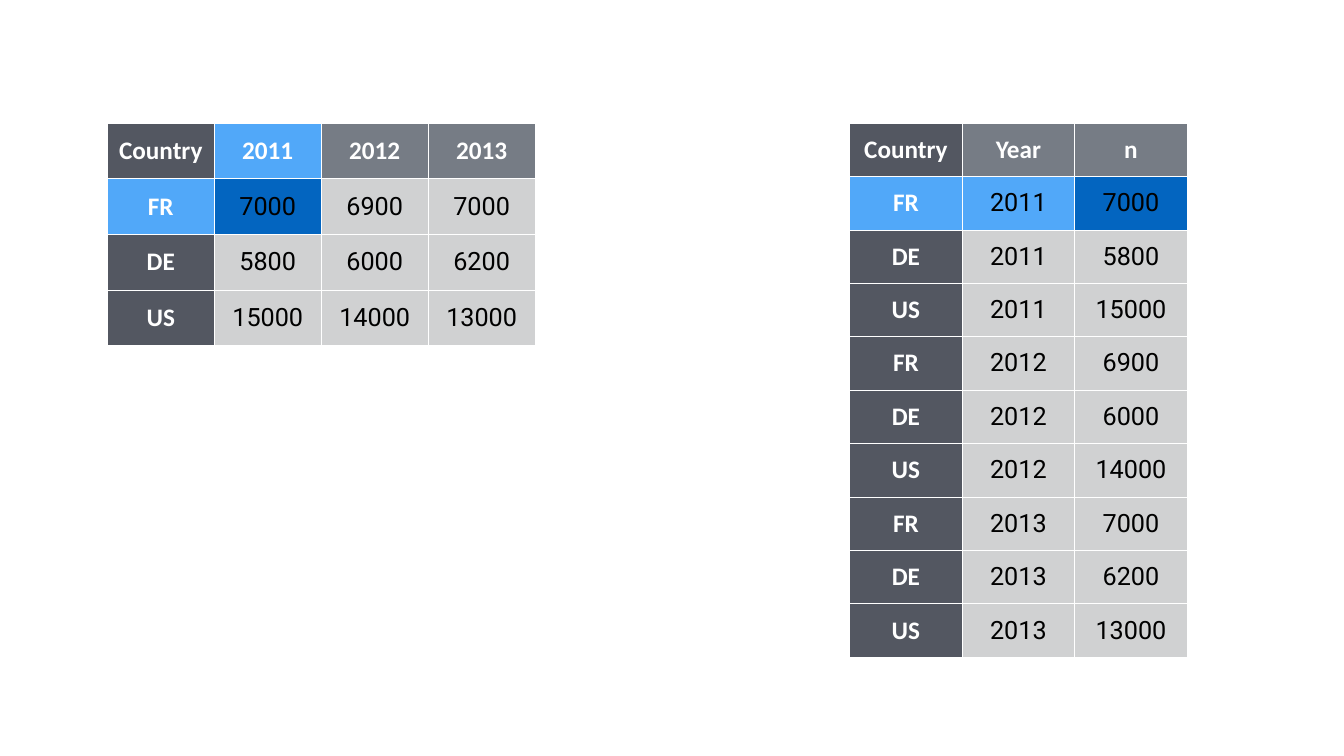
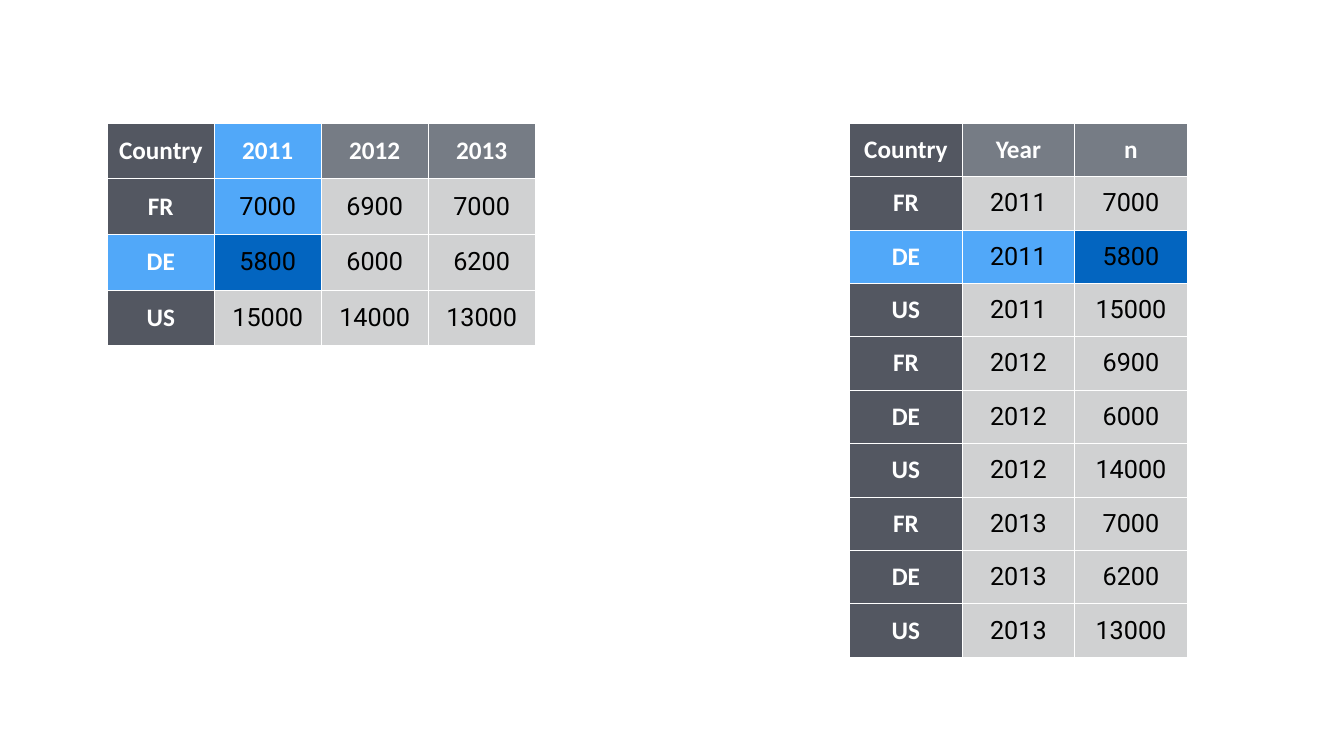
"""Build two slides that trace a cell from a wide table to its row in a tidy table."""
import pptx
import pptx.dml.color
import pptx.enum.text
import pptx.oxml
import pptx.oxml.ns
import pptx.util

Inches = pptx.util.Inches

WHITE, BLACK = "FFFFFF", "000000"
LABEL, HEADER, BODY = "535761", "767C85", "D0D1D2"
TRACE, TARGET = "51A8F9", "0365C0"

wide = [
    ["Country", "2011", "2012", "2013"],
    ["FR", "7000", "6900", "7000"],
    ["DE", "5800", "6000", "6200"],
    ["US", "15000", "14000", "13000"],
]
tidy = [["Country", "Year", "n"]]
for c, year in enumerate(wide[0][1:], 1):
    for row in wide[1:]:
        tidy.append([row[0], year, row[c]])


def rgb(color):
    return pptx.dml.color.RGBColor.from_string(color)


def add_grid(s, rows, left, width, height, target, trace_column):
    shape = s.shapes.add_table(len(rows), len(rows[0]), Inches(left), Inches(2.44),
                               Inches(width), Inches(height))
    table = shape.table
    table.horz_banding = False
    target_r, target_c = target
    for row in table.rows:
        row.height = Inches(height / len(rows))
    for r, values in enumerate(rows):
        for c, value in enumerate(values):
            cell = table.cell(r, c)
            is_label = r == 0 or c == 0
            left_of_target = r == target_r and c < target_c
            above_target = trace_column and c == target_c and r < target_r
            if (r, c) == target:
                fill = TARGET
            elif left_of_target or above_target:
                fill = TRACE
            elif c == 0:
                fill = LABEL
            else:
                fill = HEADER if r == 0 else BODY

            tcPr = cell._tc.get_or_add_tcPr()
            for side in "LRTB":
                tcPr.append(pptx.oxml.parse_xml(
                    f'<a:ln{side} {pptx.oxml.ns.nsdecls("a")} w="12700"><a:solidFill>'
                    f'<a:srgbClr val="{WHITE}"/></a:solidFill></a:ln{side}>'))
            cell.fill.solid()
            cell.fill.fore_color.rgb = rgb(fill)
            cell.margin_left = cell.margin_right = Inches(0.06)
            cell.margin_top = cell.margin_bottom = Inches(0.06)
            cell.vertical_anchor = pptx.enum.text.MSO_ANCHOR.MIDDLE

            p = cell.text_frame.paragraphs[0]
            p.alignment = pptx.enum.text.PP_ALIGN.CENTER
            run = p.add_run()
            run.text = value
            run.font.size = pptx.util.Pt(36)
            run.font.name = "Calibri" if is_label else "Roboto"
            run.font.bold = is_label
            run.font.color.rgb = rgb(WHITE if is_label else BLACK)


prs = pptx.Presentation()
prs.slide_width = Inches(26.67)
prs.slide_height = Inches(15)

for country_row in (1, 2):
    s = prs.slides.add_slide(prs.slide_layouts[6])
    add_grid(s, wide, 2.13, 8.49, 4.42, (country_row, 1), True)
    add_grid(s, tidy, 16.86, 6.7, 10.6, (country_row, 2), False)

prs.save("out.pptx")
